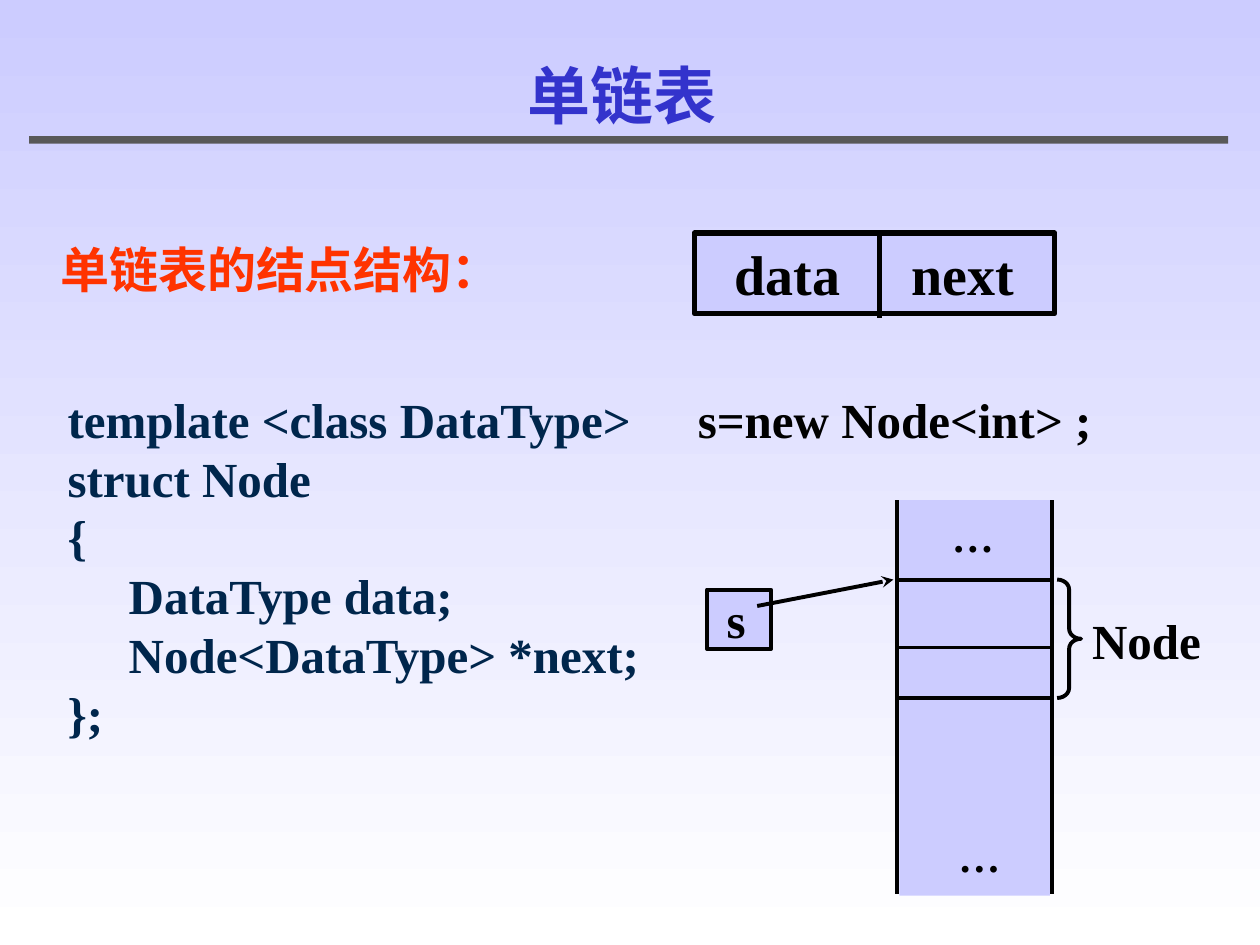
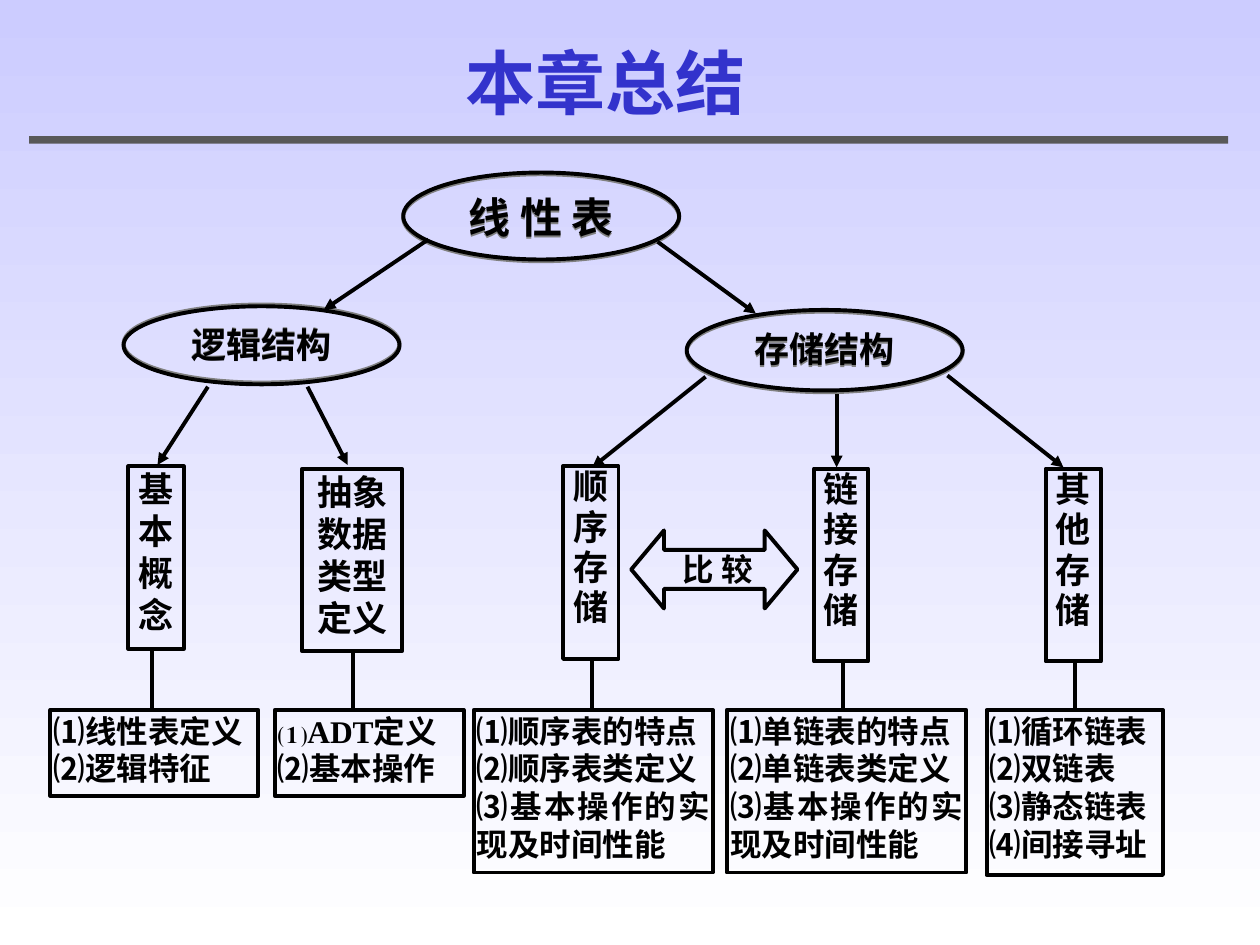
from lxml import etree
from pptx import Presentation
from pptx.dml.color import RGBColor
from pptx.enum import shapes, text
from pptx.oxml.ns import qn
from pptx.util import Pt

BLACK = RGBColor(0, 0, 0)
LILAC = RGBColor(0xCC, 0xCC, 0xFF)
WHITE = RGBColor(0xFF, 0xFF, 0xFF)
GRAY = RGBColor(0x59, 0x59, 0x59)
BLUE = RGBColor(0x33, 0x33, 0xCC)
NAVY = RGBColor(0x00, 0x26, 0x4C)
RED = RGBColor(0xFF, 0x33, 0x00)
SERIF, SANS = "Times New Roman", "Arial"

KIND = shapes.MSO_SHAPE
LEFT, MID = text.PP_ALIGN.LEFT, text.PP_ALIGN.CENTER
JUST = text.PP_ALIGN.JUSTIFY
TOP, HALF = text.MSO_ANCHOR.TOP, text.MSO_ANCHOR.MIDDLE
WIDE, TIGHT = (7.2, 3.6, 7.2, 3.6), (1.8, 0.9, 1.8, 0.9)


def put(slide, item, box, words="", size=28, color=BLACK, face=SERIF, align=LEFT,
        inset=WIDE, anchor=TOP, lead=None, fill=None, edge=None):
    """Place a preset shape, a text box (item None) or a placeholder, with its text."""
    box = [Pt(n) for n in box]
    if item is None:
        shape = slide.shapes.add_textbox(*box)
    elif item in list(KIND):
        shape = slide.shapes.add_shape(item, *box)
        shape.shadow.inherit = False
        if fill is None:
            shape.fill.background()
        else:
            shape.fill.solid()
            shape.fill.fore_color.rgb = fill
        if edge is None:
            shape.line.fill.background()
        else:
            shape.line.color.rgb, shape.line.width = BLACK, Pt(edge)
    else:
        shape = item
        shape.left, shape.top, shape.width, shape.height = box
    if words:
        frame = shape.text_frame
        frame.text = words
        sides = ("margin_left", "margin_top", "margin_right", "margin_bottom")
        form = dict(zip(sides, map(Pt, inset)), word_wrap=True,
                    auto_size=text.MSO_AUTO_SIZE.NONE, vertical_anchor=anchor)
        for key, val in form.items():
            setattr(frame, key, val)
        for para in frame.paragraphs:
            para.alignment, para.line_spacing = align, lead
            for key, val in dict(name=face, size=Pt(size), bold=True).items():
                setattr(para.font, key, val)
            para.font.color.rgb = color
    return shape


def rule(slide, x1, y1, x2, y2, width=2.25, head=None):
    """Draw a black line, with an arrowhead at its end if one is named."""
    line = slide.shapes.add_connector(shapes.MSO_CONNECTOR.STRAIGHT,
                                      Pt(x1), Pt(y1), Pt(x2), Pt(y2))
    line.line.color.rgb, line.line.width = BLACK, Pt(width)
    if head:
        etree.SubElement(line.line._get_or_add_ln(), qn("a:tailEnd"), type=head)
    etree.SubElement(line._element.spPr, qn("a:effectLst"))


deck = Presentation()
deck.slide_width, deck.slide_height = Pt(720), Pt(540)
master = deck.slide_master
back = master.background.fill
back.gradient()
back.gradient_angle = 270
for stop, color in zip(back.gradient_stops, (LILAC, WHITE)):
    stop.color.rgb = color

# Linked list node
node = deck.slides.add_slide(deck.slide_layouts[1])
band = put(node, KIND.RECTANGLE, (16.6, 77.8, 685.2, 4.3), fill=GRAY)
band._element.nvSpPr.cNvPr.set("id", "20")
master.shapes.element.append(band._element)  # shown on every slide

put(node, node.shapes.title, (70.6, 28.8, 570, 50.4), "单链表", 36, BLUE,
    align=MID, anchor=HALF)
put(node, None, (27.4, 129.6, 294, 52), "单链表的结点结构：", 28, RED, SANS,
    anchor=HALF, lead=0.9)

code = """template <class DataType>
struct Node
{
     DataType data;
     Node<DataType> *next;
};"""
body = put(node, node.placeholders[1], (31.4, 218.9, 352, 209), code, 28, NAVY,
           align=JUST, lead=Pt(33.6))
for para in body.text_frame.paragraphs:
    para.space_before = Pt(0)
    prop = para._p.get_or_add_pPr()
    prop.set("marL", "0")
    prop.set("indent", "0")
    none = etree.Element(qn("a:buNone"))
    prop.find(qn("a:spcBef")).addnext(none)
put(node, None, (391.7, 218.9, 269, 41), "s=new Node<int> ;", lead=Pt(33.6))

cell = put(node, KIND.RECTANGLE, (396.7, 133.2, 206, 46), "data\tnext", 32,
           inset=(23, 3.6, 0, 3.6), fill=LILAC, edge=3)
prop = cell.text_frame.paragraphs[0]._p.get_or_add_pPr()
tabs = etree.Element(qn("a:tabLst"))
etree.SubElement(tabs, qn("a:tab"), pos=str(Pt(101)), algn="l")
prop.find(qn("a:defRPr")).addprevious(tabs)
rule(node, 502.6, 133.2, 502.6, 182, 3)

# Memory column
put(node, KIND.RECTANGLE, (514, 285.8, 86, 226), fill=LILAC)
for x in (512.6, 601.2):
    rule(node, x, 285.8, x, 511)
for y in (331.2, 370, 398.9):
    rule(node, 513.5, y, 600.2, y)
for x, y in ((537.8, 285.1), (541.4, 468)):
    dots = put(node, None, (x, y, 40.3, 38.9), "…", 24, lead=1.1)
    dots.text_frame.paragraphs[0].font.italic = True
put(node, KIND.RECTANGLE, (403.9, 337, 36.7, 33.8), "s", inset=(11.3, 0, 0, 0),
    fill=LILAC, edge=2.25)
rule(node, 432.7, 346.3, 510.5, 331.2, head="stealth")
brace = put(node, KIND.RIGHT_BRACE, (604.1, 331.2, 13.7, 67.7), edge=2.25)
brace.adjustments[0] = 0.42
put(node, None, (617, 345.6, 79.2, 41), "Node", lead=Pt(33.6))

# Chapter summary
tree = deck.slides.add_slide(deck.slide_layouts[5])
put(tree, tree.shapes.title, (172, 18.7, 348, 55.4), "本章总结", 40, BLUE, SANS,
    align=MID, anchor=HALF)

for x, y, high, size, turn, name in (
        (230.4, 98.6, 49.7, 24, 90, "线 性 表"),
        (70.6, 175, 44.6, 20, 270, "逻辑结构"),
        (392.4, 177.1, 46, 20, 90, "存储结构")):
    oval = put(tree, KIND.OVAL, (x, y, 157.7, high), name, size, align=MID, edge=2.25)
    glow = etree.SubElement(oval._element.spPr.find(qn("a:effectLst")),
                            qn("a:outerShdw"), blurRad="0", dist=str(Pt(1)),
                            dir=str(turn * 60000), algn="ctr", rotWithShape="0")
    etree.SubElement(glow, qn("a:srgbClr"), val="808080")

# Each topic: left, top, width, height, line spacing, name
topics = (
    (73.4, 266.4, 31.7, 104.4, None, "基本概念"),
    (172.8, 267.8, 56.9, 104.4, None, "抽象\n数据\n类型\n定义"),
    (321.8, 266.4, 31.7, 110.2, 0.96, "顺序存储"),
    (465.1, 267.8, 31, 110.2, 0.96, "链接存储"),
    (597.6, 267.8, 31.7, 110.2, 0.96, "其他存储"))
# Each detail: left, width, height, stem position, points
details = (
    (28.8, 118.8, 49, 87.1, "⑴线性表定义\n⑵逻辑特征"),
    (157, 108, 49, 201.6, "⑴ADT定义\n⑵基本操作"),
    (270.7, 136.8, 92.9, 338.4, "⑴顺序表的特点\n⑵顺序表类定义\n⑶基本操作的实现及时间性能"),
    (415.4, 136.8, 92.9, 481.7, "⑴单链表的特点\n⑵单链表类定义\n⑶基本操作的实现及时间性能"),
    (563.8, 100.8, 94.3, 614.2, "⑴循环链表\n⑵双链表\n⑶静态链表\n⑷间接寻址"))
for topic, detail in zip(topics, details):
    x, y, wide, high, lead, name = topic
    put(tree, KIND.RECTANGLE, (x, y, wide, high), name, 20, align=MID, inset=TIGHT,
        lead=lead, edge=2.25)
    left, span, tall, stem, points = detail
    put(tree, KIND.RECTANGLE, (left, 405.7, span, tall), points, 18, align=JUST,
        inset=TIGHT, edge=2.25)
    rule(tree, stem, y + high + 1, stem, 406)

versus = put(tree, KIND.LEFT_RIGHT_ARROW, (360.7, 303.1, 95, 44.6), "比 较", 18,
             align=MID, inset=(6, 0, 1.8, 0), edge=2.25)
versus.adjustments[0], versus.adjustments[1] = 0.5, 0.42

for ends in ((244.8, 136.8, 185, 177.1), (375.8, 138.2, 432, 179.3),
             (118.8, 221, 90, 265.7), (175.7, 221, 198.7, 265.7),
             (403.2, 215.3, 338.4, 267.1), (478.1, 225.4, 478.1, 267.1),
             (541.4, 214.6, 607.7, 267.1)):
    rule(tree, *ends, head="triangle")

deck.save("out.pptx")
